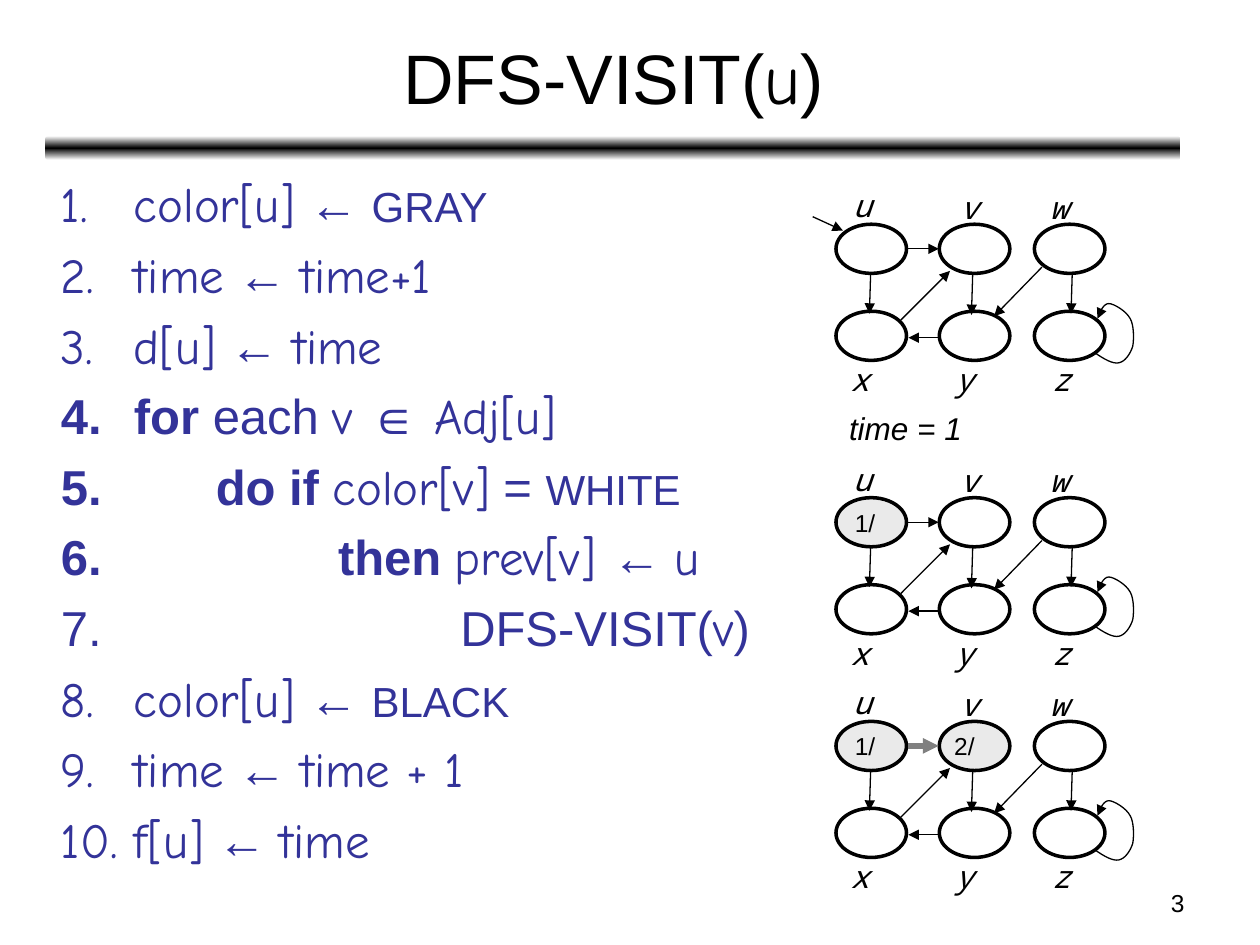
import copy
from typing import NamedTuple, Optional

import pptx
import pptx.dml.color
import pptx.enum.dml
import pptx.enum.shapes
import pptx.enum.text
import pptx.oxml
import pptx.oxml.ns
import pptx.util

BLACK = pptx.dml.color.RGBColor(0x00, 0x00, 0x00)
WHITE = pptx.dml.color.RGBColor(0xFF, 0xFF, 0xFF)
INDIGO = pptx.dml.color.RGBColor(0x33, 0x33, 0x99)
PALE = pptx.dml.color.RGBColor(0xEA, 0xEA, 0xEA)
GRAY = pptx.dml.color.RGBColor(0x80, 0x80, 0x80)
SANS, COMIC, MONO = "Arial", "Comic Neue", "Noto Sans Mono"
SHAPE = pptx.enum.shapes.MSO_SHAPE
ALIGN = pptx.enum.text.PP_ALIGN
ANCHOR = pptx.enum.text.MSO_ANCHOR

# The slide is a grid of 100 columns by 75 rows.
WIDTH, HEIGHT = pptx.util.Inches(10), pptx.util.Inches(7.5)
CELL = WIDTH / 100

NODE_COLS, NODE_ROWS = (66.35, 74.55, 82.1), (0, 6.9)
NODE_WIDTH, NODE_HEIGHT = 5.6, 3.9


class Run(NamedTuple):
    """A stretch of text in one format."""
    text: str
    font: str = COMIC
    size: float = 28
    bold: bool = False


class Step(NamedTuple):
    """A numbered line of pseudocode; indent is in columns."""
    runs: tuple
    indent: float = 5.8


class Label(NamedTuple):
    """A vertex name, its row counted from the top of the graph."""
    name: str
    col: float
    row: float
    width: float


class Edge(NamedTuple):
    """An arrow, its rows counted from the top of the graph."""
    start: tuple
    end: tuple


class Visit(NamedTuple):
    """A discovered vertex: its time mark and the shift of that mark."""
    mark: str
    shift: float


class Graph(NamedTuple):
    """One state of the search; visits run along the upper vertices."""
    top: float
    visits: tuple = ()
    tree_edge: Optional[int] = None


ARROW = Run(" ← ", SANS)
STEPS = (
    Step((Run("color[u]"), ARROW, Run("GRAY", SANS, 24))),
    Step((Run("time"), ARROW, Run("time+1"))),
    Step((Run("d[u]"), ARROW, Run("time"))),
    Step((Run("for ", SANS, bold=True), Run("each ", SANS), Run("v "),
          Run("∈", SANS), Run(" Adj[u]"))),
    Step((Run("do if ", SANS, bold=True), Run("color[v]"), Run(" = ", SANS),
          Run("WHITE", SANS, 24)), 12.3),
    Step((Run("then ", SANS, bold=True), Run("prev[v] "), Run("← ", SANS),
          Run("u")), 22),
    Step((Run("DFS-VISIT(", SANS), Run("v"), Run(")", SANS)), 31.7),
    Step((Run("color[u]"), ARROW, Run("BLACK", SANS, 24))),
    Step((Run("time"), ARROW, Run("time + 1"))),
    Step((Run("f[u]"), ARROW, Run("time"))),
)
LABELS = (
    Label("u", 66.7, -3.5, 3.4), Label("v", 75.2, -3.4, 3.1),
    Label("w", 82.3, -3.4, 3.8), Label("x", 66.5, 10.3, 3.2),
    Label("y", 74.8, 10.3, 3.1), Label("z", 82.5, 10.3, 3.1),
)
EDGES = (
    Edge((72.1, 1.95), (74.5, 1.95)), Edge((74.5, 9), (72.1, 9)),
    Edge((69.1, 3.9), (69, 7.1)), Edge((77.2, 4), (77.1, 7.2)),
    Edge((85.1, 3.9), (85, 7.1)), Edge((82.7, 3.4), (78.9, 7.3)),
    Edge((71.5, 7.6), (75.4, 3.7)),
)
LOOP_START = (86.9, 10.2)
LOOP_CURVES = (
    ((87.6, 10.7), (88.3, 11.1), (88.8, 11)),
    ((89.3, 10.9), (89.7, 10.3), (89.9, 9.7)),
    ((90, 9.1), (90, 8), (89.7, 7.5)),
    ((89.4, 6.9), (88.4, 6.3), (88, 6.3)),
    ((87.6, 6.3), (87.3, 6.9), (87.1, 7.5)),
)
GRAPHS = (
    Graph(17.8),
    Graph(39.5, (Visit("1/", 1),)),
    Graph(57.25, (Visit("1/", 1), Visit("2/", 1.6)), tree_edge=0),
)


def grid(*cells: float) -> list:
    """Turn grid units into slide lengths."""
    return [pptx.util.Emu(round(cell * CELL)) for cell in cells]


def add_runs(paragraph, runs, color, italic: bool = False) -> None:
    """Fill a paragraph with formatted runs."""
    for part in runs:
        run = paragraph.add_run()
        run.text = part.text
        run.font.name, run.font.size = part.font, pptx.util.Pt(part.size)
        run.font.bold, run.font.italic = part.bold, italic
        run.font.color.rgb = color


def add_text(shapes, box, runs=(), align=ALIGN.LEFT, anchor=ANCHOR.TOP,
             italic: bool = False, wrap: bool = True):
    """Add a text box and return its text frame."""
    frame = shapes.add_textbox(*grid(*box)).text_frame
    frame.word_wrap, frame.vertical_anchor = wrap, anchor
    if not wrap:
        frame.auto_size = pptx.enum.text.MSO_AUTO_SIZE.SHAPE_TO_FIT_TEXT
    frame.paragraphs[0].alignment = align
    add_runs(frame.paragraphs[0], runs, BLACK, italic)
    return frame


def end_with_arrow(shape, color=BLACK, weight: float = 0.75) -> None:
    """Style a line and give its end a triangle."""
    shape.line.color.rgb, shape.line.width = color, pptx.util.Pt(weight)
    tail = pptx.oxml.parse_xml(
        f'<a:tailEnd {pptx.oxml.ns.nsdecls("a")} type="triangle"/>')
    shape.line._get_or_add_ln().append(tail)


def add_arrow(shapes, edge: Edge, top: float = 0, color=BLACK, weight: float = 0.75) -> None:
    """Draw a straight arrow without a shadow."""
    (x1, y1), (x2, y2) = edge
    arrow = shapes.add_connector(pptx.enum.shapes.MSO_CONNECTOR.STRAIGHT,
                                 *grid(x1, top + y1, x2, top + y2))
    end_with_arrow(arrow, color, weight)
    arrow._element.spPr.append(pptx.oxml.parse_xml(
        f'<a:effectLst {pptx.oxml.ns.nsdecls("a")}/>'))


def add_vertex(shapes, col: float, row: float, visit: Optional[Visit]) -> None:
    """Draw a vertex, shaded and marked once visited."""
    vertex = shapes.add_shape(SHAPE.OVAL, *grid(col, row, NODE_WIDTH, NODE_HEIGHT))
    vertex.shadow.inherit = False
    vertex.line.color.rgb, vertex.line.width = BLACK, pptx.util.Pt(2)
    if visit is None:
        vertex.fill.background()
        return
    vertex.fill.solid()
    vertex.fill.fore_color.rgb = PALE
    frame = vertex.text_frame
    frame.word_wrap, frame.vertical_anchor = False, ANCHOR.MIDDLE
    frame.margin_left, frame.margin_right = grid(0, visit.shift)
    frame.paragraphs[0].alignment = ALIGN.CENTER
    add_runs(frame.paragraphs[0], [Run(visit.mark, SANS, 14)], BLACK)


def add_loop(shapes, top: float) -> None:
    """Draw the curved arrow from z to itself."""
    points, start = [], LOOP_START
    for curve in LOOP_CURVES:
        for t in (step / 8 for step in range(1, 9)):
            weights = ((1 - t) ** 3, 3 * t * (1 - t) ** 2, 3 * t * t * (1 - t), t ** 3)
            x, y = (sum(w * p[axis] for w, p in zip(weights, (start, *curve)))
                    for axis in (0, 1))
            points.append(grid(x, top + y))
        start = curve[-1]
    outline = shapes.build_freeform(*grid(LOOP_START[0], top + LOOP_START[1]))
    outline.add_line_segments(points, close=False)
    loop = outline.convert_to_shape()
    loop.shadow.inherit = False
    loop.fill.background()
    end_with_arrow(loop)


def add_graph(slide, graph: Graph) -> None:
    """Draw one state of the graph as a group."""
    shapes = slide.shapes.add_group_shape().shapes
    for line, row in enumerate(NODE_ROWS):
        for place, col in enumerate(NODE_COLS):
            visited = line == 0 and place < len(graph.visits)
            add_vertex(shapes, col, graph.top + row, graph.visits[place] if visited else None)
    for name, col, row, width in LABELS:
        add_text(shapes, (col, graph.top + row, width, 4), [Run(name, MONO, 18)],
                 italic=True, wrap=False)
    for number, edge in enumerate(EDGES):
        style = (GRAY, 3) if number == graph.tree_edge else (BLACK, 0.75)
        add_arrow(shapes, edge, graph.top, *style)
    add_loop(shapes, graph.top)


def add_rule(slide) -> None:
    """Draw the shaded bar under the title."""
    rule = slide.shapes.add_shape(SHAPE.ROUNDED_RECTANGLE, *grid(3.6, 10.8, 90.1, 1.9))
    rule.shadow.inherit = False
    rule.line.fill.background()
    rule.fill.gradient()
    rule.fill.gradient_angle = 90
    stops = rule._element.spPr.find(".//" + pptx.oxml.ns.qn("a:gsLst"))
    stops.append(copy.deepcopy(stops[0]))
    for stop, position, color in zip(rule.fill.gradient_stops, (0, 0.5, 1), (WHITE, BLACK, WHITE)):
        stop.position, stop.color.rgb = position, color


def add_steps(slide) -> None:
    """Write the numbered pseudocode."""
    frame = add_text(slide.shapes, (3.85, 13.3, 90, 58.5))
    for number, step in enumerate(STEPS):
        paragraph = frame.add_paragraph() if number else frame.paragraphs[0]
        paragraph.space_before = pptx.util.Pt(6.75)
        add_runs(paragraph, step.runs, INDIGO)
        properties = paragraph._p.get_or_add_pPr()
        indent = grid(step.indent)[0]
        properties.set("marL", str(indent))
        properties.set("indent", str(-indent))
        for tag in (f'buClr {pptx.oxml.ns.nsdecls("a")}><a:srgbClr val="{INDIGO}"/></a:buClr',
                    f'buAutoNum {pptx.oxml.ns.nsdecls("a")} type="arabicPeriod"/'):
            properties.append(pptx.oxml.parse_xml(f"<a:{tag}>"))


def main() -> None:
    """Build and save the slide."""
    deck = pptx.Presentation()
    deck.slide_width, deck.slide_height = WIDTH, HEIGHT
    slide = deck.slides.add_slide(deck.slide_layouts[6])
    add_rule(slide)
    add_text(slide.shapes, (71.7, 70, 23.3, 3.5), [Run("3", SANS, 14)], ALIGN.RIGHT)
    add_text(slide.shapes, (3.7, 1.1, 90, 9.9),
             [Run("DFS-VISIT(", SANS, 40), Run("u", COMIC, 40), Run(")", SANS, 40)],
             ALIGN.CENTER, ANCHOR.MIDDLE)
    add_steps(slide)
    for graph in GRAPHS:
        add_graph(slide, graph)
    add_arrow(slide.shapes, Edge((64.5, 17.2), (66.9, 18.3)))
    add_text(slide.shapes, (66.4, 32, 12, 4), [Run("time = 1", SANS, 18)], italic=True)
    deck.save("out.pptx")


main()
